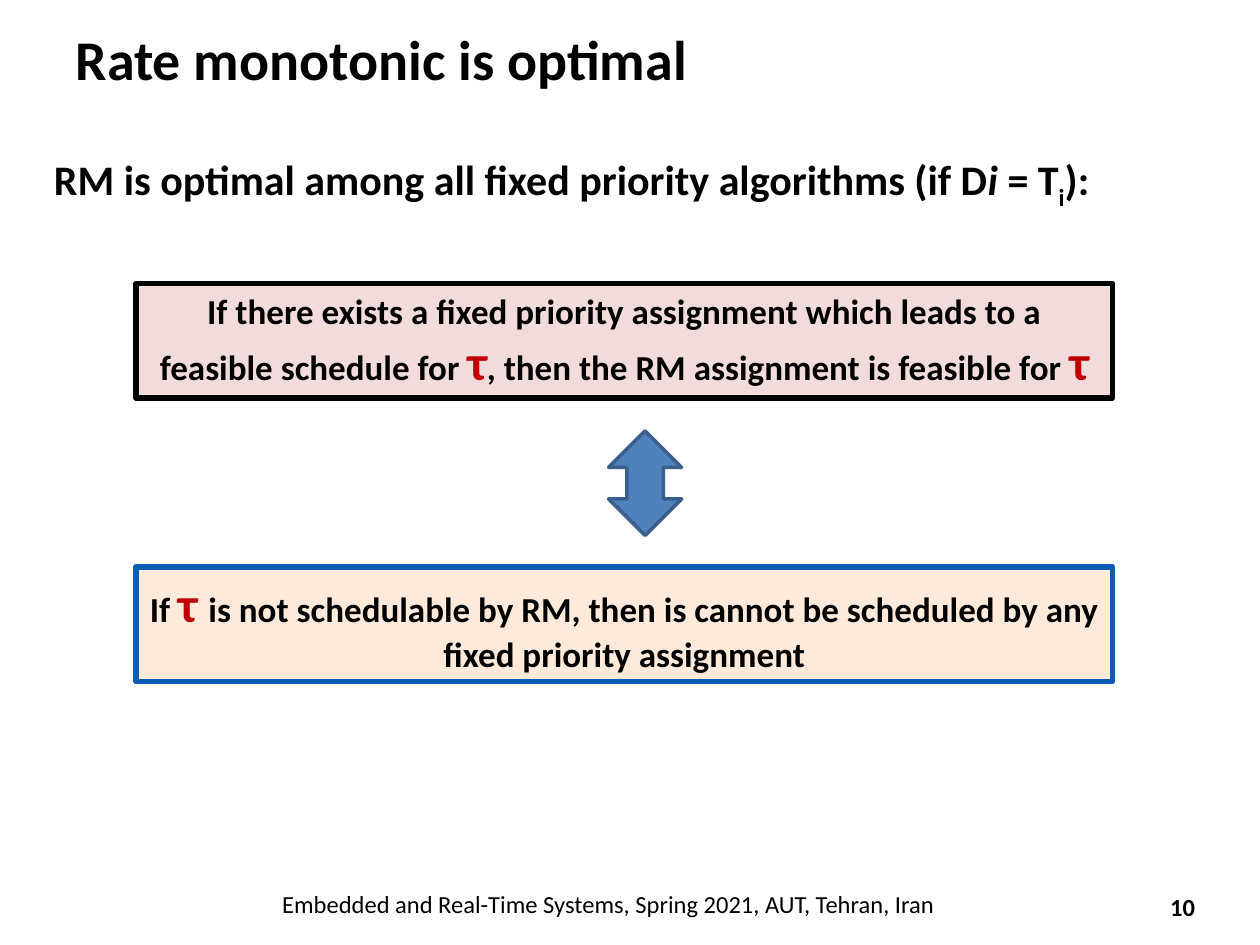
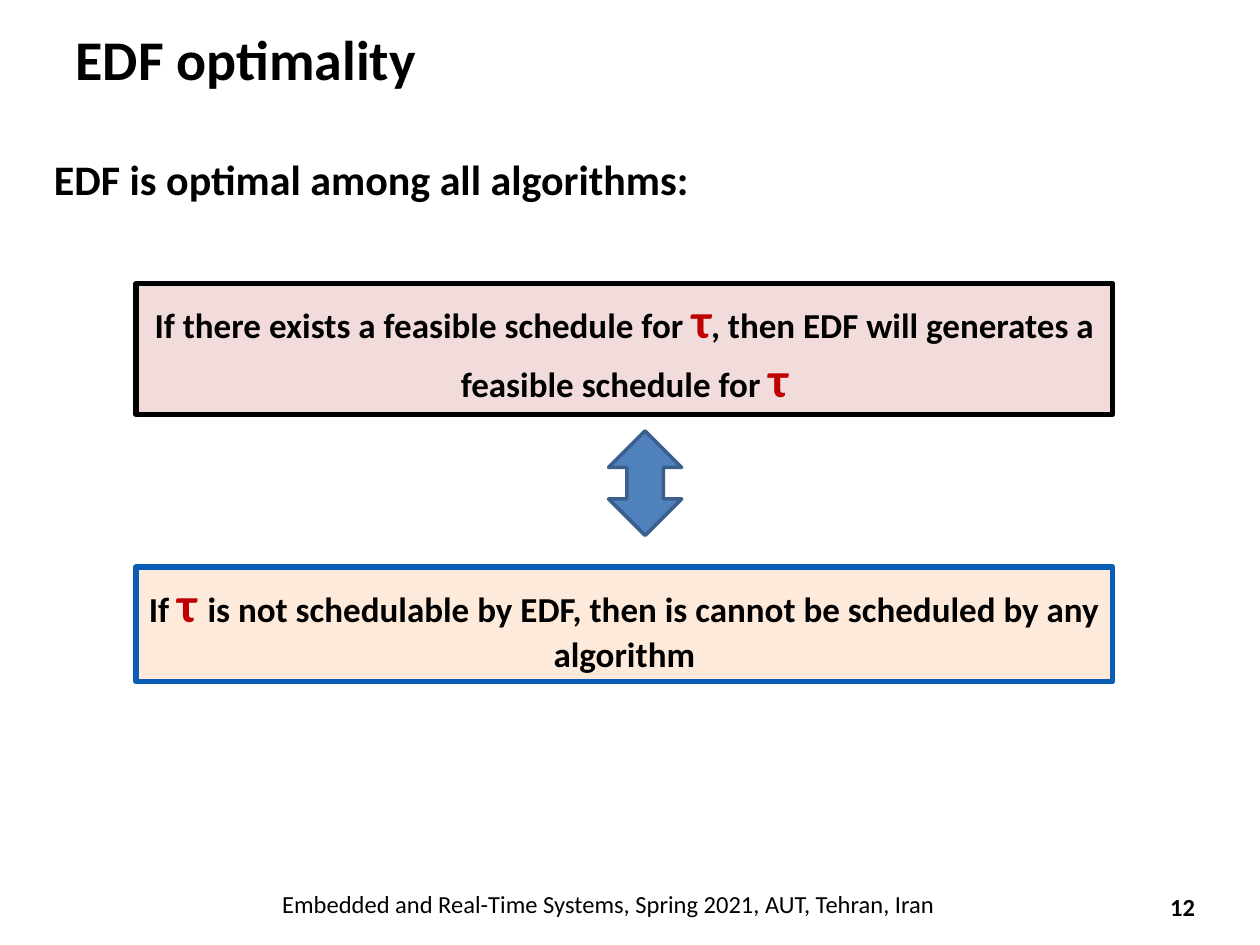
from pptx import Presentation
from pptx.util import Inches, Pt
from pptx.dml.color import RGBColor
from pptx.enum.shapes import MSO_SHAPE as Shape
from pptx.enum.text import PP_ALIGN as Align, MSO_ANCHOR as Anchor

FONT = "Calibri"
HEX = {"ink": "000000", "tau": "C00000", "rose": "F2DCDB", "peach": "FDEADA",
       "edge": "0B5CB5", "arrow": "4F81BD", "rim": "3A5F8C"}
FOOT = "Embedded and Real-Time Systems, Spring 2021, AUT, Tehran, Iran"
TAU = ("τ", "tau")
SLIDES = [
    {"title": "Rate monotonic is optimal", "page": "10", "width": 8.5,
     "claim": [("RM is optimal among all fixed priority algorithms (if D", ""),
               ("i", "italic"), (" = T", ""), ("i", "sub"), ("):", "")],
     "high": 0.91,
     "cause": [("If there exists a fixed priority assignment which leads to a "
                "feasible schedule for ", ""), TAU,
               (", then the RM assignment is feasible for ", ""), TAU],
     "effect": [("If ", ""), ("τ ", "tau"),
                ("is not schedulable by RM, then is cannot be scheduled by any "
                 "fixed priority assignment", "")]},
    {"title": "EDF optimality", "page": "12", "width": 5.29,
     "claim": [("EDF is optimal among all algorithms:", "")],
     "high": 1.04,
     "cause": [("If there exists a feasible schedule for ", ""), TAU,
               (", then EDF will generates a feasible schedule for ", ""), TAU],
     "effect": [("If ", ""), ("τ ", "tau"),
                ("is not schedulable by EDF, then is cannot be scheduled by any "
                 "algorithm", "")]},
]
LEFT, WIDE = 1.08, 7.75


def color(name):
    return RGBColor.from_string(HEX[name])


def write(shape, runs, size, bold=True, align=Align.LEFT, anchor=Anchor.TOP, wrap=True):
    frame = shape.text_frame
    frame.word_wrap = wrap
    frame.vertical_anchor = anchor
    para = frame.paragraphs[0]
    para.alignment = align
    for text, kind in runs:
        run = para.add_run()
        run.text = text
        font = run.font
        font.name, font.bold = FONT, bold
        font.size = Pt(28 if kind == "tau" else size)
        font.color.rgb = color("tau" if kind == "tau" else "ink")
        if kind == "italic":
            font.italic = True
        if kind == "sub":
            run._r.get_or_add_rPr().set("baseline", "-25000")


def label(slide, spot, runs, size, **look):
    box = slide.shapes.add_textbox(*map(Inches, spot))
    write(box, runs, size, **look)
    return box


def block(slide, kind, spot, fill, line, weight):
    shape = slide.shapes.add_shape(kind, *map(Inches, spot))
    shape.shadow.inherit = False
    shape.fill.solid()
    shape.fill.fore_color.rgb = color(fill)
    shape.line.color.rgb = color(line)
    shape.line.width = Pt(weight)
    return shape


def build(deck, item):
    slide = deck.slides.add_slide(deck.slide_layouts[5])
    title = slide.shapes.title
    title.left, title.top, title.width, title.height = map(Inches, (0.5, 0, 9, 0.92))
    write(title, [(item["title"], "")], 32, anchor=Anchor.MIDDLE)

    page = label(slide, (9.09, 7, 0.59, 0.4), [(item["page"], "")], 14,
                 align=Align.CENTER, anchor=Anchor.MIDDLE)
    frame = page.text_frame
    frame.margin_left = frame.margin_right = frame.margin_top = frame.margin_bottom = 0
    label(slide, (LEFT, 7.01, 7.5, 0.34), [(FOOT, "")], 14, bold=False, align=Align.CENTER)
    label(slide, (0.33, 1.17, item["width"], 0.5), item["claim"], 24, wrap=False)

    for part, top, high, fill, line in (("cause", 2.25, item["high"], "rose", "ink"),
                                        ("effect", 4.5, 0.91, "peach", "edge")):
        box = block(slide, Shape.RECTANGLE, (LEFT, top, WIDE, high), fill, line, 3)
        write(box, item[part], 20, align=Align.CENTER)
    block(slide, Shape.UP_DOWN_ARROW, (4.83, 3.42, 0.58, 0.83), "arrow", "rim", 2)


deck = Presentation()
deck.slide_width, deck.slide_height = Inches(10), Inches(7.5)
for item in SLIDES:
    build(deck, item)
deck.save("out.pptx")
